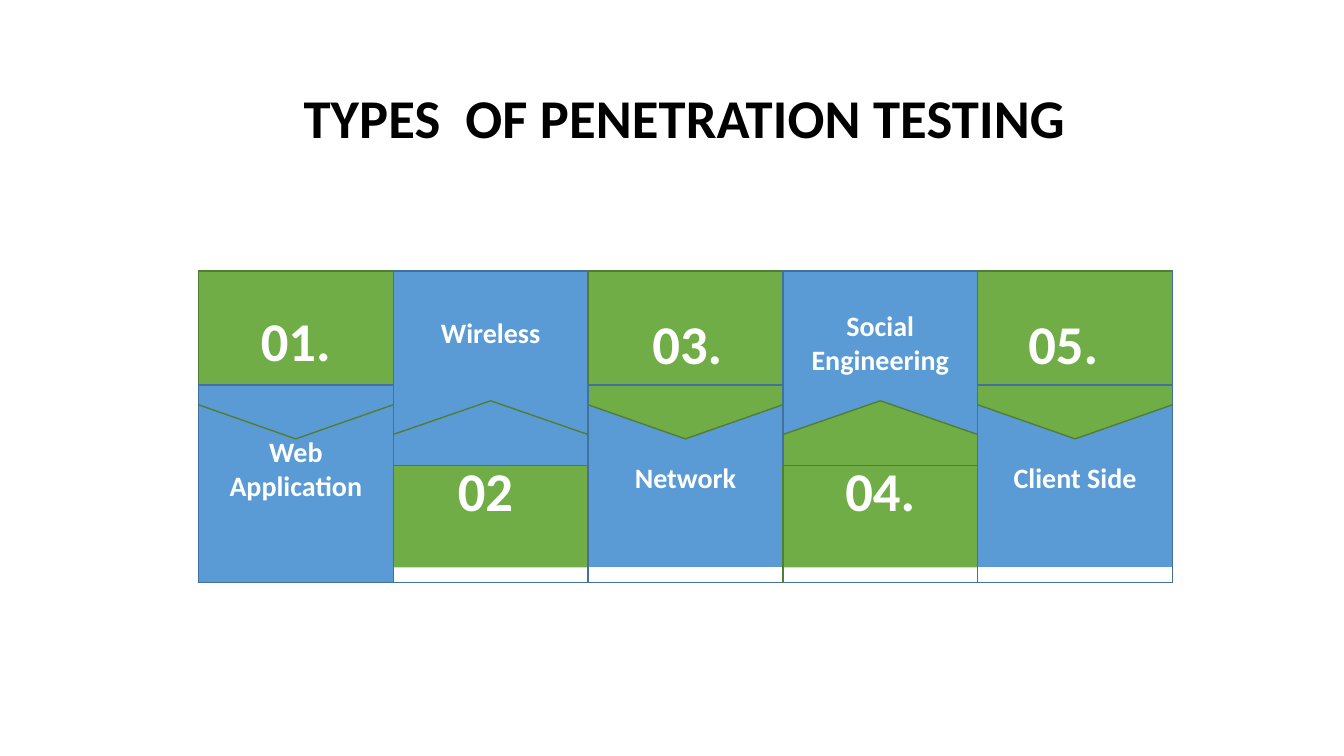
from dataclasses import dataclass

import lxml.etree
import pptx
import pptx.dml.color
import pptx.enum.text
import pptx.oxml.ns
import pptx.shapes.autoshape
import pptx.table
import pptx.text.text
import pptx.util
from pptx.util import Cm


@dataclass(frozen=True)
class Theme:
    font: str = "Calibri"
    green: str = "70AD47"
    blue: str = "5B9BD5"
    green_edge: str = "507E32"
    blue_edge: str = "41719C"
    light: str = "FFFFFF"
    dark: str = "000000"
    heading_size: float = 39
    label_size: float = 20
    edge_width: float = 1


@dataclass(frozen=True)
class TestType:
    number: str
    label: tuple[str, ...]
    points_down: bool
    number_shift: float = 0
    in_table: tuple[str, ...] = ()


@dataclass(frozen=True)
class Notch:
    shoulder: float
    tip: float
    base: float


THEME = Theme()
TEST_TYPES = (
    TestType("01.", ("Web", "Application"), True, in_table=("number", "label")),
    TestType("02", ("Wireless",), False, -0.13, in_table=("label",)),
    TestType("03.", ("Network",), True, 0.05),
    TestType("04.", ("Social", "Engineering"), False),
    TestType("05.", ("Client Side",), True, -0.3),
)
GRID_LEFT, GRID_TOP, COLUMN_WIDTH = 5.0, 6.83, 4.91
ROW_HEIGHTS = (2.87, 1.96, 2.95)
PANEL_TOP, PANEL_BOTTOM = 6.86, 14.3
DOWN = Notch(shoulder=10.2, tip=11.06, base=PANEL_TOP)
UP = Notch(shoulder=10.95, tip=10.1, base=PANEL_BOTTOM)
UPPER_TEXT, LOWER_NUMBER, LOWER_LABEL = 8.63, 12.33, 12.03
TEXT_HEIGHT = 2.0
CELL_TOP_MARGINS = {(0, 0): 0.98, (1, 0): 1.27, (0, 1): 1.16}


def rgb(color: str) -> pptx.dml.color.RGBColor:
    return pptx.dml.color.RGBColor.from_string(color)


def column_left(column: int) -> float:
    return GRID_LEFT + column * COLUMN_WIDTH


def add_run(paragraph: pptx.text.text._Paragraph, text: str, size: float,
            color: str, spacing: float = 0) -> None:
    run = paragraph.add_run()
    run.text = text
    run.font.name = THEME.font
    run.font.size = pptx.util.Pt(size)
    run.font.bold = True
    run.font.color.rgb = rgb(color)
    if spacing:
        run.font._element.set("spc", str(round(spacing * 100)))


def write_lines(frame: pptx.text.text.TextFrame, lines: tuple[str, ...], size: float) -> None:
    for index, line in enumerate(lines):
        paragraph = frame.add_paragraph() if index else frame.paragraphs[0]
        paragraph.alignment = pptx.enum.text.PP_ALIGN.CENTER
        add_run(paragraph, line, size, THEME.light)


def clear_insets(frame: pptx.text.text.TextFrame) -> None:
    frame.margin_left = frame.margin_right = frame.margin_top = frame.margin_bottom = 0
    frame.vertical_anchor = pptx.enum.text.MSO_ANCHOR.MIDDLE
    frame.auto_size = pptx.enum.text.MSO_AUTO_SIZE.NONE
    frame.word_wrap = True


def add_caption(slide: pptx.slide.Slide, left: float, middle: float,
                lines: tuple[str, ...], size: float) -> None:
    caption = slide.shapes.add_textbox(
        Cm(left), Cm(middle - TEXT_HEIGHT / 2), Cm(COLUMN_WIDTH), Cm(TEXT_HEIGHT))
    clear_insets(caption.text_frame)
    write_lines(caption.text_frame, lines, size)


def add_outline(slide: pptx.slide.Slide, points: list[tuple[float, float]],
                closed: bool) -> pptx.shapes.autoshape.Shape:
    corners = [(Cm(x), Cm(y)) for x, y in points]
    builder = slide.shapes.build_freeform(*corners[0])
    builder.add_line_segments(corners[1:], close=closed)
    outline = builder.convert_to_shape()
    outline.shadow.inherit = False
    return outline


def add_panel(slide: pptx.slide.Slide, points: list[tuple[float, float]], color: str) -> None:
    panel = add_outline(slide, points, closed=True)
    panel.fill.solid()
    panel.fill.fore_color.rgb = rgb(color)
    panel.line.fill.background()


def notch_points(column: int, notch: Notch) -> list[tuple[float, float]]:
    left = column_left(column)
    return [(left, notch.shoulder), (left + COLUMN_WIDTH / 2, notch.tip),
            (left + COLUMN_WIDTH, notch.shoulder)]


def add_column_panels(slide: pptx.slide.Slide, column: int, test: TestType) -> None:
    left, right = column_left(column), column_left(column + 1)
    notch = DOWN if test.points_down else UP
    if "label" not in test.in_table:
        top, bottom = ((GRID_TOP + ROW_HEIGHTS[0], PANEL_BOTTOM) if test.points_down
                       else (PANEL_TOP, GRID_TOP + sum(ROW_HEIGHTS[:2])))
        add_panel(slide, [(left, top), (right, top), (right, bottom), (left, bottom)], THEME.blue)
    if "number" not in test.in_table:
        add_panel(slide, notch_points(column, notch) + [(right, notch.base), (left, notch.base)],
                  THEME.green)


def add_notch_line(slide: pptx.slide.Slide, column: int, notch: Notch) -> None:
    line = add_outline(slide, notch_points(column, notch), closed=False)
    line.fill.background()
    line.line.color.rgb = rgb(THEME.green_edge)
    line.line.width = pptx.util.Pt(THEME.edge_width)


def set_borders(cell: pptx.table._Cell, is_number: bool) -> None:
    properties = cell._tc.get_or_add_tcPr()
    for side in ("lnL", "lnR", "lnT", "lnB"):
        accent = is_number and side in ("lnL", "lnT")
        border = lxml.etree.SubElement(properties, pptx.oxml.ns.qn(f"a:{side}"),
                                       w=str(pptx.util.Pt(THEME.edge_width)))
        fill = lxml.etree.SubElement(border, pptx.oxml.ns.qn("a:solidFill"))
        lxml.etree.SubElement(fill, pptx.oxml.ns.qn("a:srgbClr"),
                              val=THEME.green_edge if accent else THEME.blue_edge)


def add_grid(slide: pptx.slide.Slide) -> None:
    grid = slide.shapes.add_table(
        len(ROW_HEIGHTS), len(TEST_TYPES), Cm(GRID_LEFT), Cm(GRID_TOP),
        Cm(COLUMN_WIDTH * len(TEST_TYPES)), Cm(sum(ROW_HEIGHTS))).table
    grid.first_row = grid.horz_banding = False
    for row, height in zip(grid.rows, ROW_HEIGHTS):
        row.height = Cm(height)
    for column, test in enumerate(TEST_TYPES):
        grid.columns[column].width = Cm(COLUMN_WIDTH)
        number_row, label_row = (0, 1) if test.points_down else (2, 0)
        grid.cell(label_row, column).merge(grid.cell(label_row + 1, column))
        for row in range(len(ROW_HEIGHTS)):
            cell = grid.cell(row, column)
            is_number = row == number_row
            cell.margin_left = cell.margin_right = cell.margin_bottom = 0
            cell.margin_top = Cm(CELL_TOP_MARGINS.get((row, column), 0))
            set_borders(cell, is_number)
            if ("number" if is_number else "label") in test.in_table:
                cell.fill.solid()
                cell.fill.fore_color.rgb = rgb(THEME.green if is_number else THEME.blue)
            else:
                cell.fill.background()
        if "number" in test.in_table:
            write_lines(grid.cell(number_row, column).text_frame, (test.number,),
                        THEME.heading_size)
        if "label" in test.in_table:
            write_lines(grid.cell(label_row, column).text_frame, test.label, THEME.label_size)


def add_title(slide: pptx.slide.Slide) -> None:
    title = slide.shapes.title
    title.left, title.top, title.width, title.height = Cm(6.4), Cm(1.93), Cm(21.7), Cm(2)
    clear_insets(title.text_frame)
    paragraph = title.text_frame.paragraphs[0]
    paragraph.alignment = pptx.enum.text.PP_ALIGN.CENTER
    for text, spacing in (("TYPES", 0.1), (" ", 8.8), ("OF PENETRATION TESTING", 0.1)):
        add_run(paragraph, text, THEME.heading_size, THEME.dark, spacing)


def main() -> None:
    deck = pptx.Presentation()
    deck.slide_width, deck.slide_height = Cm(33.87), Cm(19.05)
    slide = deck.slides.add_slide(deck.slide_layouts[5])
    add_title(slide)
    for column, test in enumerate(TEST_TYPES):
        add_column_panels(slide, column, test)
    add_grid(slide)
    for column, test in enumerate(TEST_TYPES):
        add_notch_line(slide, column, DOWN if test.points_down else UP)
        if "number" not in test.in_table:
            add_caption(slide, column_left(column) + test.number_shift,
                        UPPER_TEXT if test.points_down else LOWER_NUMBER,
                        (test.number,), THEME.heading_size)
        if "label" not in test.in_table:
            add_caption(slide, column_left(column),
                        LOWER_LABEL if test.points_down else UPPER_TEXT,
                        test.label, THEME.label_size)
    deck.save("out.pptx")


if __name__ == "__main__":
    main()
